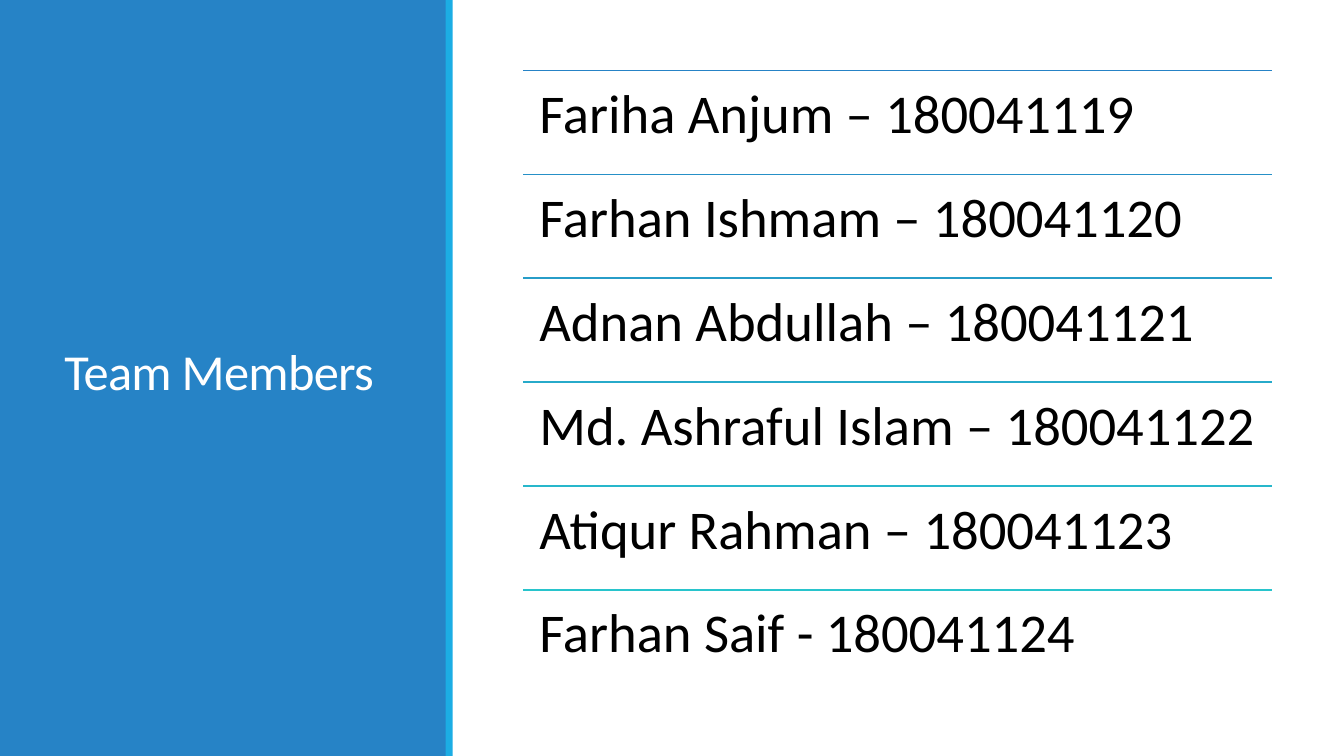
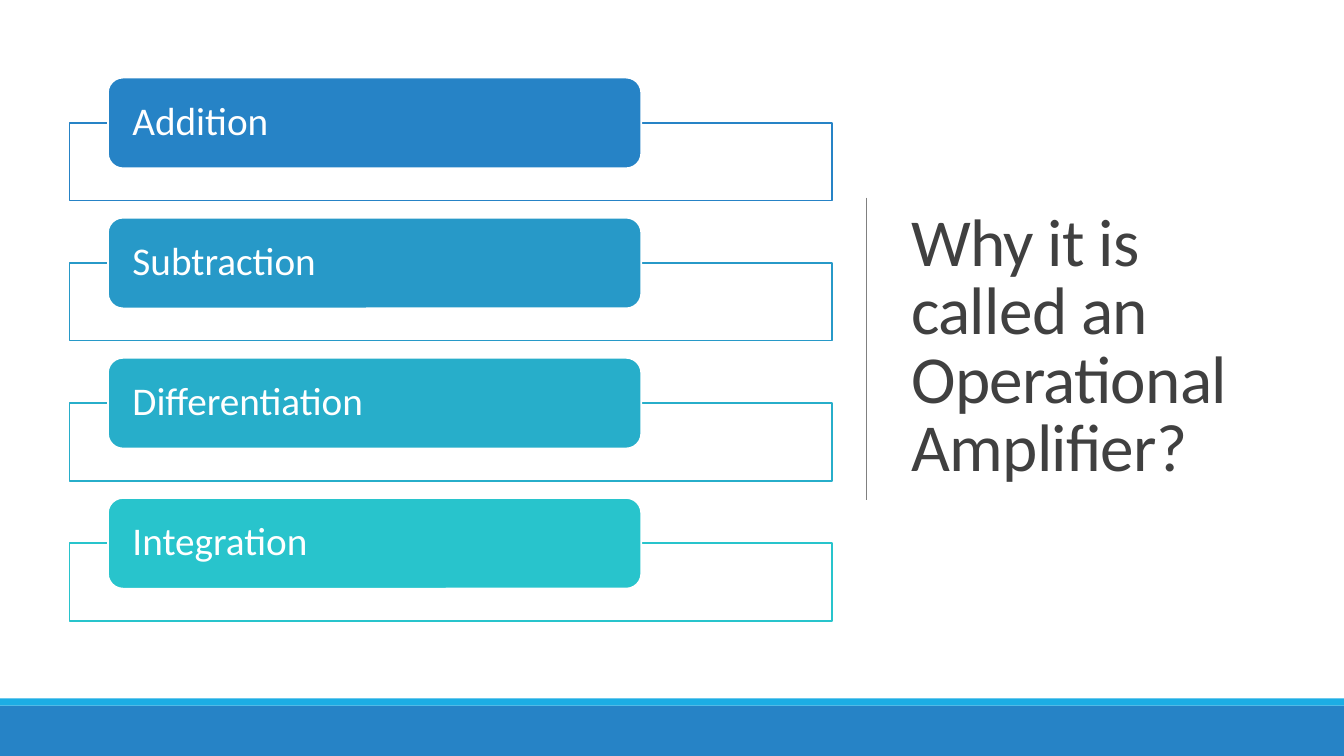
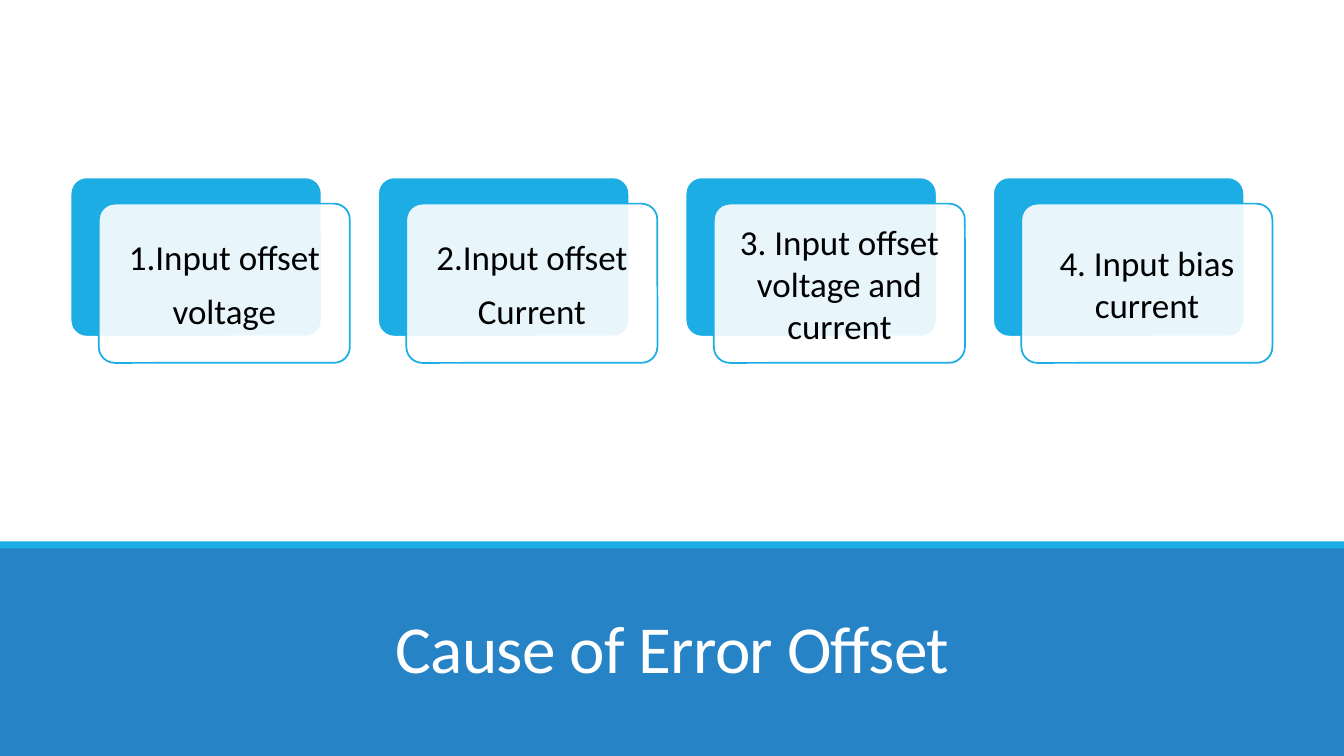
from lxml import etree
from pptx import Presentation
from pptx.dml.color import RGBColor
from pptx.enum.shapes import MSO_CONNECTOR, MSO_SHAPE
from pptx.enum.text import MSO_ANCHOR, PP_ALIGN
from pptx.oxml.ns import qn
from pptx.util import Inches, Pt

FONT = "Calibri"
COLORS = {
    "blue": "2683C6",
    "sky": "1CADE4",
    "teal": "28C4CC",
    "white": "FFFFFF",
    "black": "000000",
    "title": "404040",
    "rule": "808080",
}
WIDTH, HEIGHT = 13.33, 7.5
STRIP = 0.07
LINE = 1.25

MEMBERS = [
    "Fariha Anjum – 180041119",
    "Farhan Ishmam – 180041120",
    "Adnan Abdullah – 180041121",
    "Md. Ashraful Islam – 180041122",
    "Atiqur Rahman – 180041123",
    "Farhan Saif - 180041124",
]
OPERATIONS = ["Addition", "Subtraction", "Differentiation", "Integration"]
CAUSES = [
    ["1.Input offset", "voltage"],
    ["2.Input offset", "Current"],
    ["3. Input offset voltage and current"],
    ["4. Input bias current"],
]


def rgb(color):
    return RGBColor.from_string(COLORS.get(color, color))


def blend(i, count):
    """Colour of item i on the even scale from blue to teal."""
    ends = zip(rgb("blue"), rgb("teal"))
    return "".join(f"{round(a + (b - a) * i / (count - 1)):02X}" for a, b in ends)


def add_box(slide, x, y, w, h, fill, line=None, kind=MSO_SHAPE.RECTANGLE,
            opacity=None, corner=None):
    sp = slide.shapes.add_shape(kind, Inches(x), Inches(y), Inches(w), Inches(h))
    sp.shadow.inherit = False
    sp.fill.solid()
    sp.fill.fore_color.rgb = rgb(fill)
    if opacity is not None:
        color = sp.fill._xPr.find(qn("a:solidFill"))[0]
        etree.SubElement(color, qn("a:alpha"), val=str(opacity * 1000))
    if line:
        sp.line.color.rgb = rgb(line)
        sp.line.width = Pt(LINE)
    else:
        sp.line.fill.background()
    if corner is not None:
        sp.adjustments[0] = corner
    return sp


def add_line(slide, x1, y1, x2, y2, color, width):
    line = slide.shapes.add_connector(
        MSO_CONNECTOR.STRAIGHT, Inches(x1), Inches(y1), Inches(x2), Inches(y2))
    line.line.color.rgb = rgb(color)
    line.line.width = Pt(width)
    etree.SubElement(line._element.spPr, qn("a:effectLst"))


def set_text(sp, paragraphs, size, color, align=PP_ALIGN.LEFT, anchor=MSO_ANCHOR.MIDDLE,
             inset=(0.1, 0.05), leading=1.0, after=0.35, tracking=None):
    """Fill a shape with paragraphs; after is a share of the text size."""
    tf = sp.text_frame
    tf.word_wrap = True
    tf.vertical_anchor = anchor
    tf.margin_left = tf.margin_right = Inches(inset[0])
    tf.margin_top = tf.margin_bottom = Inches(inset[1])
    for i, content in enumerate(paragraphs):
        p = tf.add_paragraph() if i else tf.paragraphs[0]
        p.alignment = align
        p.line_spacing = leading
        p.space_after = Pt(round(size * after, 2))
        r = p.add_run()
        r.text = content
        r.font.name = FONT
        r.font.size = Pt(size)
        r.font.color.rgb = rgb(color)
        if tracking is not None:
            r._r.get_or_add_rPr().set("spc", str(round(tracking * 100)))


def add_textbox(slide, x, y, w, h, content, **fmt):
    sp = slide.shapes.add_textbox(Inches(x), Inches(y), Inches(w), Inches(h))
    set_text(sp, [content], **fmt)


def add_title(slide, x, y, w, h, title, **fmt):
    add_textbox(slide, x, y, w, h, title, leading=0.85, after=0, tracking=-0.5, **fmt)


def add_bottom_band(slide, band_top, strip_top):
    add_box(slide, 0, band_top, WIDTH, HEIGHT - band_top, "blue")
    add_box(slide, 0, strip_top, WIDTH, STRIP, "sky")


def build_members(slide):
    add_box(slide, 0, 0, 4.43, HEIGHT, "blue")
    add_box(slide, 4.42, 0, STRIP, HEIGHT, "sky")
    add_title(slide, 0.54, 0.57, 3.37, 6.31, "Team Members", size=36, color="white")
    left, top, width, row = 5.19, 0.7, 7.43, 1.03
    for i, member in enumerate(MEMBERS):
        y = top + i * row
        add_line(slide, left, y, left + width, y, blend(i, len(MEMBERS)), LINE)
        add_textbox(slide, left, y, width, row, member, size=39, color="black",
                    anchor=MSO_ANCHOR.TOP, inset=(0.16, 0.16), leading=0.9)


def build_operations(slide):
    add_bottom_band(slide, 7, 6.93)
    add_title(slide, 8.94, 0.69, 3.69, 5.53, "Why it is called an Operational Amplifier?",
              size=48, color="title")
    add_line(slide, 8.59, 1.96, 8.59, 4.96, "rule", 0.5)
    top, pitch = 0.77, 1.39
    for i, operation in enumerate(OPERATIONS):
        y = top + i * pitch
        color = blend(i, len(OPERATIONS))
        add_box(slide, 0.69, y + 0.45, 7.56, 0.77, "white", line=color, opacity=90)
        label = add_box(slide, 1.07, y, 5.29, 0.9, color, line="white",
                        kind=MSO_SHAPE.ROUNDED_RECTANGLE)
        set_text(label, [operation], size=28, color="white", inset=(0.2, 0), leading=0.9)


def build_causes(slide):
    add_bottom_band(slide, 5.42, 5.37)
    add_title(slide, 1.17, 5.74, 11, 1.13, "Cause of Error Offset", size=48,
              color="white", align=PP_ALIGN.CENTER, anchor=MSO_ANCHOR.BOTTOM)
    left, top, pitch = 0.7, 1.76, 3.05
    card = dict(w=2.49, h=1.58, kind=MSO_SHAPE.ROUNDED_RECTANGLE, corner=0.1)
    for i, cause in enumerate(CAUSES):
        x = left + i * pitch
        add_box(slide, x, top, fill="sky", line="white", **card)
        front = add_box(slide, x + 0.28, top + 0.26, fill="white", line="sky",
                        opacity=90, **card)
        set_text(front, cause, size=25, color="black", align=PP_ALIGN.CENTER,
                 inset=(0.1, 0.1))


def main():
    prs = Presentation()
    prs.slide_width, prs.slide_height = Inches(WIDTH), Inches(HEIGHT)
    for build in (build_members, build_operations, build_causes):
        build(prs.slides.add_slide(prs.slide_layouts[6]))
    prs.save("out.pptx")


if __name__ == "__main__":
    main()
